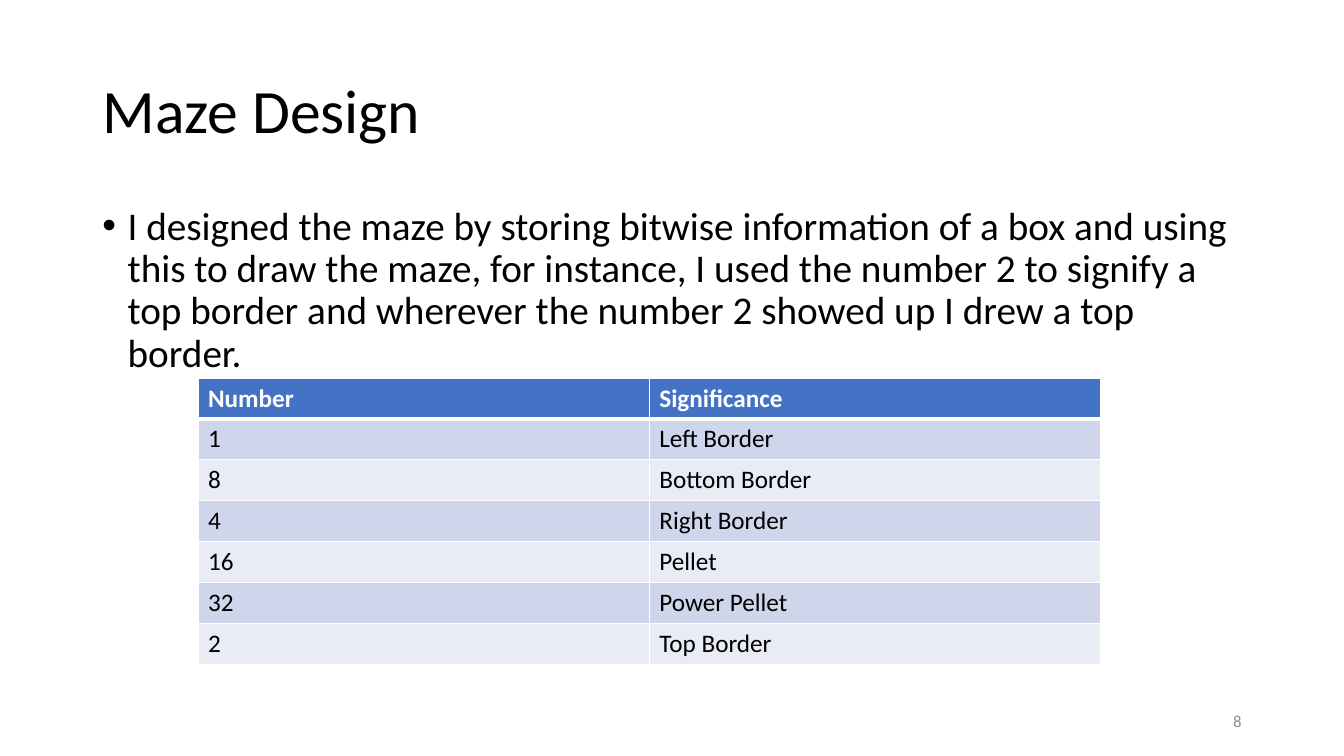
"""Build the Maze Design slide with its table of border numbers."""
from dataclasses import dataclass
from typing import Any

from lxml.etree import SubElement
from pptx import Presentation
from pptx.dml.color import RGBColor
from pptx.enum.text import MSO_ANCHOR as Anchor, MSO_AUTO_SIZE as AutoSize, PP_ALIGN as Align
from pptx.oxml.ns import qn
from pptx.util import Pt

BLACK = RGBColor(0x00, 0x00, 0x00)
WHITE = RGBColor(0xFF, 0xFF, 0xFF)
GREY = RGBColor(0x8C, 0x8C, 0x8C)
HEADER_BLUE = RGBColor(0x44, 0x72, 0xC4)
BAND_FILLS = (RGBColor(0xCF, 0xD5, 0xEA), RGBColor(0xE9, 0xEB, 0xF5))
THIN_BORDER, HEADER_BORDER = Pt(1), Pt(3)


@dataclass(frozen=True)
class Box:
    left: float
    top: float
    width: float
    height: float

    def lengths(self) -> tuple[Pt, Pt, Pt, Pt]:
        return Pt(self.left), Pt(self.top), Pt(self.width), Pt(self.height)


@dataclass(frozen=True)
class TextBlock:
    text: str
    box: Box
    size: float
    color: RGBColor
    frame_format: dict[str, Any]
    paragraph_format: dict[str, Any]


@dataclass(frozen=True)
class MazeCode:
    number: str
    significance: str


TITLE = TextBlock(
    "Maze Design", Box(66, 28.75, 828, 104.4), 44, BLACK,
    {"vertical_anchor": Anchor.MIDDLE},
    {"alignment": Align.LEFT, "line_spacing": 0.9},
)
EXPLANATION = TextBlock(
    "I designed the maze by storing bitwise information of a box and using this to draw "
    "the maze, for instance, I used the number 2 to signify a top border and wherever "
    "the number 2 showed up I drew a top border.",
    Box(66, 143.75, 828, 342.6), 28, BLACK,
    {"vertical_anchor": Anchor.TOP},
    {"alignment": Align.LEFT, "line_spacing": 0.9, "space_before": Pt(10)},
)
SLIDE_NUMBER = TextBlock(
    "8", Box(678, 500.5, 216, 28.75), 12, GREY,
    {"vertical_anchor": Anchor.MIDDLE},
    {"alignment": Align.RIGHT},
)
TABLE_BOX = Box(141.4, 270, 644.8, 204.4)
MAZE_CODES = (
    MazeCode("Number", "Significance"),
    MazeCode("1", "Left Border"),
    MazeCode("8", "Bottom Border"),
    MazeCode("4", "Right Border"),
    MazeCode("16", "Pellet"),
    MazeCode("32", "Power Pellet"),
    MazeCode("2", "Top Border"),
)


def apply_format(target: Any, values: dict[str, Any]) -> None:
    for name, value in values.items():
        setattr(target, name, value)


def format_font(font: Any, size: float, color: RGBColor, bold: bool = False) -> None:
    apply_format(font, {"name": "Calibri", "size": Pt(size), "bold": bold})
    font.color.rgb = color


def write_block(shape: Any, block: TextBlock) -> Any:
    left, top, width, height = block.box.lengths()
    apply_format(shape, {"left": left, "top": top, "width": width, "height": height})
    frame = shape.text_frame
    frame.text = block.text
    apply_format(frame, {"word_wrap": True, "auto_size": AutoSize.NONE, **block.frame_format})
    paragraph = frame.paragraphs[0]
    apply_format(paragraph, block.paragraph_format)
    format_font(paragraph.runs[0].font, block.size, block.color)
    return paragraph


def set_bullet(paragraph: Any, indent: Pt) -> None:
    properties = paragraph._p.get_or_add_pPr()
    properties.set("marL", str(int(indent)))
    properties.set("indent", str(-int(indent)))
    SubElement(properties, qn("a:buFont"), typeface="Arial")
    SubElement(properties, qn("a:buChar"), char="•")


def add_borders(cell: Any, top: Pt, bottom: Pt) -> None:
    properties = cell._tc.get_or_add_tcPr()
    widths = {"a:lnL": THIN_BORDER, "a:lnR": THIN_BORDER, "a:lnT": top, "a:lnB": bottom}
    for tag, width in widths.items():
        line = SubElement(properties, qn(tag), w=str(int(width)))
        SubElement(SubElement(line, qn("a:solidFill")), qn("a:srgbClr"), val=str(WHITE))


def format_cell(cell: Any, text: str, row: int) -> None:
    is_header = row == 0
    cell.text = text
    font = cell.text_frame.paragraphs[0].runs[0].font
    format_font(font, 18, WHITE if is_header else BLACK, is_header)
    add_borders(
        cell,
        HEADER_BORDER if row == 1 else THIN_BORDER,
        HEADER_BORDER if is_header else THIN_BORDER,
    )
    cell.fill.solid()
    cell.fill.fore_color.rgb = HEADER_BLUE if is_header else BAND_FILLS[(row - 1) % 2]


def add_code_table(slide: Any, codes: tuple[MazeCode, ...], box: Box) -> None:
    table = slide.shapes.add_table(len(codes), 2, *box.lengths()).table
    for row, code in enumerate(codes):
        for column, text in enumerate((code.number, code.significance)):
            format_cell(table.cell(row, column), text, row)


def main() -> None:
    presentation = Presentation()
    apply_format(presentation, {"slide_width": Pt(960), "slide_height": Pt(540)})
    slide = presentation.slides.add_slide(presentation.slide_layouts[1])
    write_block(slide.shapes.title, TITLE)
    set_bullet(write_block(slide.placeholders[1], EXPLANATION), Pt(18))
    number_box = slide.shapes.add_textbox(*SLIDE_NUMBER.box.lengths())
    write_block(number_box, SLIDE_NUMBER)
    add_code_table(slide, MAZE_CODES, TABLE_BOX)
    presentation.save("out.pptx")


main()
